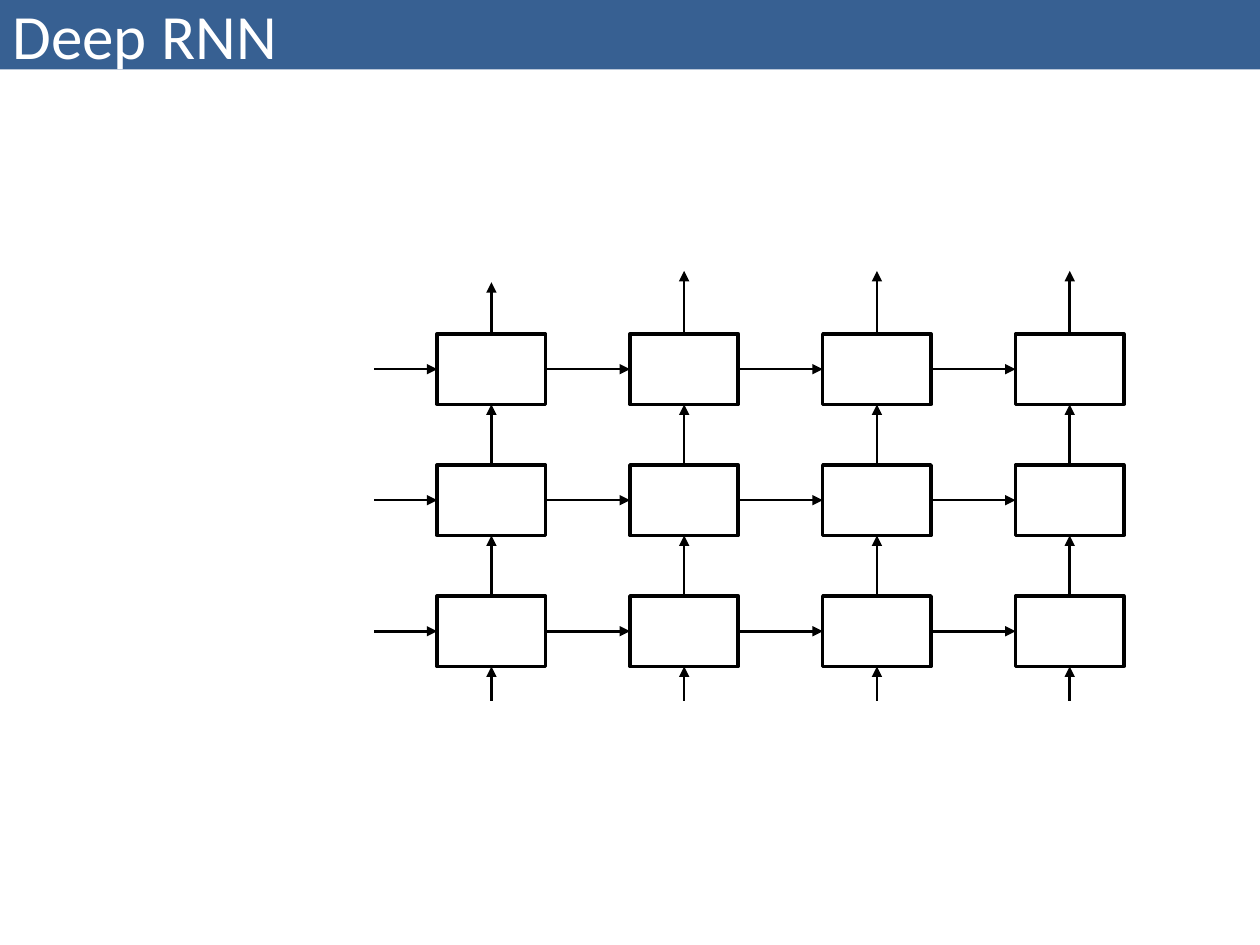
from dataclasses import dataclass

from lxml import etree
from pptx import Presentation
from pptx.dml.color import RGBColor
from pptx.enum.shapes import MSO_CONNECTOR, MSO_SHAPE
from pptx.enum.text import MSO_ANCHOR, MSO_AUTO_SIZE, PP_ALIGN
from pptx.oxml.ns import qn
from pptx.util import Inches, Pt

RECT = MSO_SHAPE.RECTANGLE
STRAIGHT = MSO_CONNECTOR.STRAIGHT
MIDDLE = MSO_ANCHOR.MIDDLE
LEFT_ALIGN = PP_ALIGN.LEFT
NO_FIT = MSO_AUTO_SIZE.NONE
TOP, LEFT, BOTTOM, RIGHT = range(4)


@dataclass(frozen=True)
class Theme:
    font: str = "Calibri"
    title_size: Pt = Pt(36)
    bar: RGBColor = RGBColor(0x37, 0x60, 0x92)
    light: RGBColor = RGBColor(0xFF, 0xFF, 0xFF)
    ink: RGBColor = RGBColor(0, 0, 0)
    cell_line: Pt = Pt(2)
    arrow_line: Pt = Pt(1.5)


THEME = Theme()

ROWS, COLS = 3, 4
GRID_X, GRID_Y = 3.47, 2.65
STEP_X, STEP_Y = 1.53, 1.04
CELL_W, CELL_H = 0.86, 0.56
STATE_LEN, INPUT_LEN = 0.5, 0.27
OUTPUT_LENS = (0.41, 0.5, 0.5, 0.5)


def add_title(slide, text):
    title = slide.shapes.title
    title.left, title.top = 0, 0
    title.width, title.height = Inches(10), Inches(0.55)
    title.fill.solid()
    title.fill.fore_color.rgb = THEME.bar
    frame = title.text_frame
    frame.text = text
    frame.auto_size = NO_FIT
    frame.vertical_anchor = MIDDLE
    para = frame.paragraphs[0]
    para.alignment = LEFT_ALIGN
    font = para.runs[0].font
    font.name, font.size = THEME.font, THEME.title_size
    font.color.rgb = THEME.light


def add_cell(slide, row, col):
    cell = slide.shapes.add_shape(
        RECT, Inches(GRID_X + col * STEP_X), Inches(GRID_Y + row * STEP_Y),
        Inches(CELL_W), Inches(CELL_H))
    cell.shadow.inherit = False
    cell.fill.background()
    cell.line.color.rgb = THEME.ink
    cell.line.width = THEME.cell_line
    return cell


def add_arrow(slide, start, end):
    """Draw an arrow; each end is a point or a (cell, side) pair."""
    arrow = slide.shapes.add_connector(STRAIGHT, 0, 0, 0, 0)
    if isinstance(start[0], int):
        arrow.begin_x, arrow.begin_y = start
    else:
        arrow.begin_connect(*start)
    if isinstance(end[0], int):
        arrow.end_x, arrow.end_y = end
    else:
        arrow.end_connect(*end)
    arrow.line.color.rgb = THEME.ink
    arrow.line.width = THEME.arrow_line
    etree.SubElement(arrow.line._get_or_add_ln(), qn("a:tailEnd"), type="triangle")
    etree.SubElement(arrow._element.spPr, qn("a:effectLst"))


def link_rows(slide, cells):
    """Pass the state from left to right within each layer."""
    for row in cells:
        first = row[0]
        mid = first.top + first.height // 2
        add_arrow(slide, (first.left - Inches(STATE_LEN), mid), (first, LEFT))
        for cell, after in zip(row, row[1:]):
            add_arrow(slide, (cell, RIGHT), (after, LEFT))


def link_cols(slide, cells):
    """Pass values upwards from the inputs to the outputs."""
    for col, out_len in zip(zip(*cells), OUTPUT_LENS):
        high, low = col[0], col[-1]
        mid = low.left + low.width // 2
        base = low.top + low.height
        add_arrow(slide, (mid, base + Inches(INPUT_LEN)), (low, BOTTOM))
        for upper, lower in zip(col, col[1:]):
            add_arrow(slide, (lower, TOP), (upper, BOTTOM))
        add_arrow(slide, (high, TOP), (mid, high.top - Inches(out_len)))


def main():
    deck = Presentation()
    deck.slide_width, deck.slide_height = Inches(10), Inches(7.5)
    slide = deck.slides.add_slide(deck.slide_layouts[5])
    add_title(slide, "Deep RNN")
    cells = [[add_cell(slide, row, col) for col in range(COLS)]
             for row in range(ROWS)]
    link_rows(slide, cells)
    link_cols(slide, cells)
    deck.save("out.pptx")


if __name__ == "__main__":
    main()
